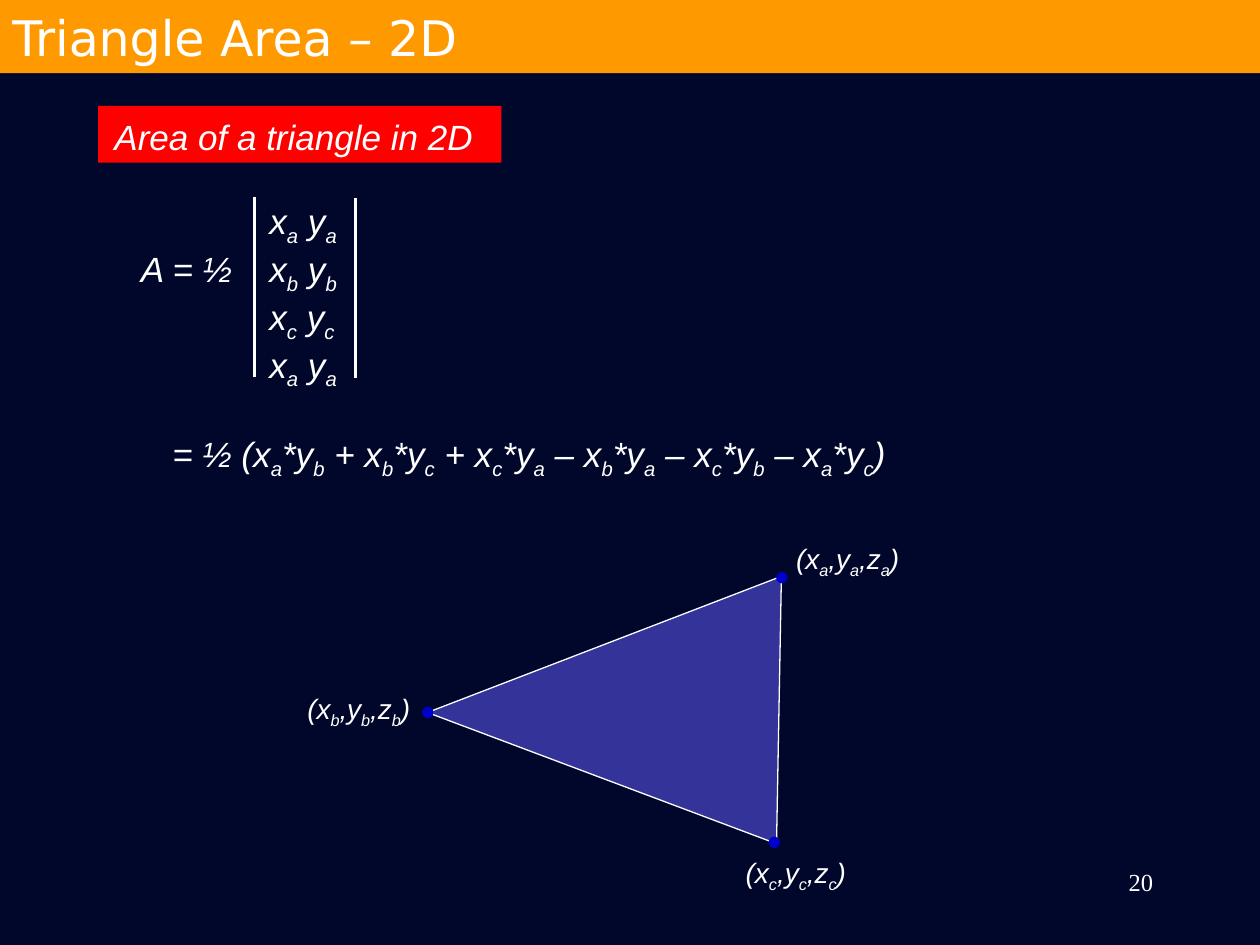
from dataclasses import dataclass
from typing import Optional

from lxml.etree import SubElement
from pptx import Presentation
from pptx.dml.color import RGBColor
from pptx.enum.shapes import MSO_CONNECTOR, MSO_SHAPE
from pptx.enum.text import MSO_ANCHOR, MSO_AUTO_SIZE, PP_ALIGN
from pptx.oxml.ns import qn
from pptx.util import Emu, Pt

WHITE = "FFFFFF"
DOT_SIZE = 9
LABEL_WIDTH, LABEL_HEIGHT = 112, 41
BLANK_LINE = 24  # points
ROW_INDENT = 123
RESULT_INDENT = 46


@dataclass
class Box:
    left: int
    top: int
    width: int
    height: int


@dataclass
class Line:
    text: str  # an underscore lowers the next letter
    margin: int = 0
    first_indent: int = 0
    space_before: int = 0


@dataclass
class Vertex:
    name: str
    dot_left: int
    dot_top: int
    label_left: int
    label_top: int


def px(length: int) -> Emu:
    """100 px to the inch."""
    return Emu(length * 9144)


def color(hex_string: str) -> RGBColor:
    return RGBColor.from_string(hex_string)


def place(box: Box) -> tuple:
    return px(box.left), px(box.top), px(box.width), px(box.height)


def add_block(slide, kind, box: Box, fill: str, outline: Optional[str] = None):
    shape = slide.shapes.add_shape(kind, *place(box))
    shape.shadow.inherit = False
    shape.fill.solid()
    shape.fill.fore_color.rgb = color(fill)
    if outline:
        shape.line.color.rgb = color(outline)
        shape.line.width = Pt(0.75)
    else:
        shape.line.fill.background()
    return shape


def add_bar(slide, left: int, top: int, height: int) -> None:
    bar = slide.shapes.add_connector(
        MSO_CONNECTOR.STRAIGHT, px(left), px(top), px(left), px(top + height))
    bar.line.color.rgb = color(WHITE)
    bar.line.width = Pt(1.5)
    SubElement(bar._element.spPr, qn("a:effectLst"))


def format_run(run, size: int, font: str, italic: bool = False) -> None:
    run.font.size = Pt(size)
    run.font.name = font
    run.font.italic = italic
    run.font.color.rgb = color(WHITE)


def write_formula(paragraph, text: str, size: int) -> None:
    first, *rest = text.split("_")
    pieces = [(first, False)]
    for part in rest:
        pieces += [(part[0], True), (part[1:], False)]
    for piece, lowered in pieces:
        if piece:
            run = paragraph.add_run()
            run.text = piece
            format_run(run, size, "Arial", italic=True)
            if lowered:
                run._r.get_or_add_rPr().set("baseline", "-25000")


def add_formulas(slide, box: Box, lines: list[Line], size: int) -> None:
    text_frame = slide.shapes.add_textbox(*place(box)).text_frame
    text_frame.word_wrap = True
    text_frame.auto_size = MSO_AUTO_SIZE.SHAPE_TO_FIT_TEXT
    for index, line in enumerate(lines):
        paragraph = text_frame.add_paragraph() if index else text_frame.paragraphs[0]
        paragraph.space_before = Pt(line.space_before)
        properties = paragraph._p.get_or_add_pPr()
        properties.set("marL", str(px(line.margin)))
        properties.set("indent", str(px(line.first_indent)))
        write_formula(paragraph, line.text, size)


FORMULAS = [
    Line("Area of a triangle in 2D"),
    Line("x_a y_a", ROW_INDENT, space_before=BLANK_LINE),
    Line("A = ½\tx_b y_b", ROW_INDENT, first_indent=-102),
    Line("x_c y_c", ROW_INDENT),
    Line("x_a y_a", ROW_INDENT),
    Line("= ½ (x_a*y_b + x_b*y_c + x_c*y_a – x_b*y_a – x_c*y_b – x_a*y_c)",
         RESULT_INDENT, space_before=BLANK_LINE),
]

VERTICES = [
    Vertex("a", 616, 454, 622, 425),
    Vertex("b", 335, 561, 234, 544),
    Vertex("c", 610, 664, 582, 674),
]


def main() -> None:
    presentation = Presentation()
    presentation.slide_width, presentation.slide_height = px(1000), px(750)
    slide = presentation.slides.add_slide(presentation.slide_layouts[6])
    slide.background.fill.solid()
    slide.background.fill.fore_color.rgb = color("00072A")

    # Slide number
    number = slide.shapes.add_textbox(*place(Box(717, 683, 208, 50))).text_frame
    number.word_wrap = True
    number.text = "20"
    number.paragraphs[0].alignment = PP_ALIGN.RIGHT
    format_run(number.paragraphs[0].runs[0], 14, "Times New Roman")

    # Formulas, with the determinant bars
    add_block(slide, MSO_SHAPE.RECTANGLE, Box(78, 84, 320, 45), "FF0000")
    add_formulas(slide, Box(81, 87, 875, 333), FORMULAS, 20)
    add_bar(slide, 202, 156, 143)
    add_bar(slide, 282, 157, 143)

    # Title band
    band = add_block(slide, MSO_SHAPE.RECTANGLE, Box(0, 0, 1000, 58), "FF9900")
    title = band.text_frame
    title.text = "Triangle Area – 2D"
    title.vertical_anchor = MSO_ANCHOR.MIDDLE
    title.paragraphs[0].alignment = PP_ALIGN.LEFT
    format_run(title.paragraphs[0].runs[0], 28, "DejaVu Sans")

    # Triangle
    triangle = add_block(slide, MSO_SHAPE.ISOSCELES_TRIANGLE,
                         Box(365, 424, 296, 200), "333399", outline=WHITE)
    triangle.adjustments[0] = 0.76
    triangle.rotation = 20.6

    # Vertices and their coordinates
    for vertex in VERTICES:
        dot = Box(vertex.dot_left, vertex.dot_top, DOT_SIZE, DOT_SIZE)
        add_block(slide, MSO_SHAPE.OVAL, dot, "0000CC")
    for vertex in VERTICES:
        name = vertex.name
        label = Box(vertex.label_left, vertex.label_top, LABEL_WIDTH, LABEL_HEIGHT)
        add_formulas(slide, label, [Line(f"(x_{name},y_{name},z_{name})")], 16)

    presentation.save("out.pptx")


if __name__ == "__main__":
    main()
